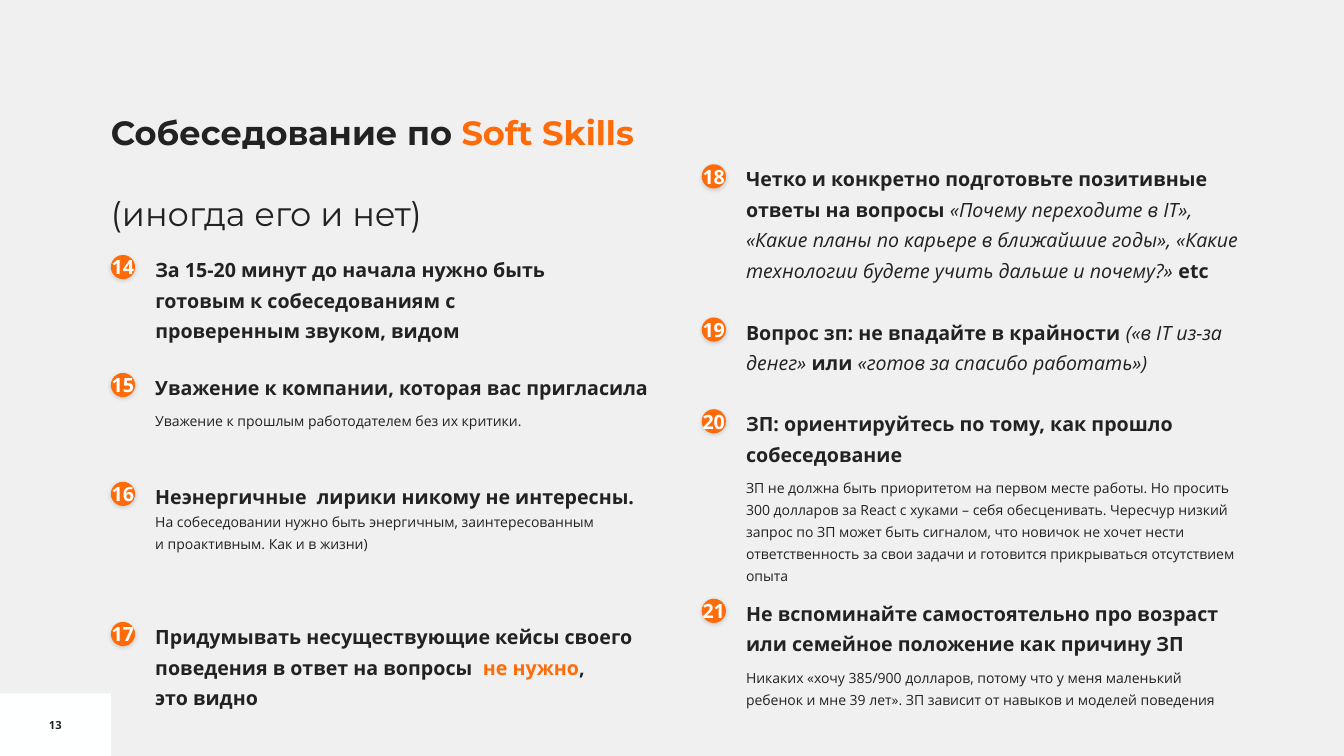
import pptx
import pptx.util
import pptx.dml.color
import pptx.enum.shapes
import pptx.enum.text
from dataclasses import dataclass
from lxml import etree
from pptx.util import Inches, Pt


@dataclass(frozen=True)
class Theme:
    back: str = "F0F0F0"
    white: str = "FEFFFF"
    ink: str = "222222"
    accent: str = "FF6B08"
    label: str = "FFFFFF"
    head: str = "Montserrat"
    body: str = "Open Sans"
    title: int = 24
    lead: int = 14
    note: int = 10
    page: int = 8


THEME = Theme()
ANCHOR = pptx.enum.text.MSO_ANCHOR
ALIGN = pptx.enum.text.PP_ALIGN
SHAPE = pptx.enum.shapes.MSO_SHAPE
DOT = 0.24
LEFT, RIGHT = 1.1, 6.96  # left edges of the two columns of dots


def rgb(code):
    return pptx.dml.color.RGBColor.from_string(code)


def add_run(para, text, size, color=THEME.ink, bold=True, italic=False,
            face=THEME.body):
    """Add one styled run per line, with line breaks between them."""
    for i, line in enumerate(text.split("\n")):
        if i:
            para.add_line_break()
        run = para.add_run()
        run.text = line
        font = run.font
        font.name, font.size = face, Pt(size)
        font.bold, font.italic = bold, italic
        font.color.rgb = rgb(color)


def lead(text, **style):
    return text, dict(size=THEME.lead, **style)


def aside(text):
    return lead(text, bold=False, italic=True)


def note(text):
    return text, dict(size=THEME.note, bold=False)


def set_frame(frame, top=0.0, base=0.0, wrap=True):
    frame.word_wrap = wrap
    frame.margin_left = frame.margin_right = 0
    frame.margin_top, frame.margin_bottom = Inches(top), Inches(base)


def add_text(slide, x, y, w, h, paras, top, base, gap, pitch=None):
    """Add a text box; gap is the space in points before later paragraphs."""
    box = slide.shapes.add_textbox(Inches(x), Inches(y), Inches(w), Inches(h))
    frame = box.text_frame
    set_frame(frame, top, base)
    for i, runs in enumerate(paras):
        para = frame.add_paragraph() if i else frame.paragraphs[0]
        if i:
            para.space_before = Pt(gap)
        if pitch:
            para.line_spacing = pitch
        for text, style in runs:
            add_run(para, text, **style)


def add_label(slide, kind, x, y, w, h, fill, text, **style):
    """Add a plain filled shape with centred text."""
    shape = slide.shapes.add_shape(
        kind, Inches(x), Inches(y), Inches(w), Inches(h))
    shape.shadow.inherit = False
    shape.fill.solid()
    shape.fill.fore_color.rgb = rgb(fill)
    shape.line.fill.background()
    frame = shape.text_frame
    set_frame(frame, wrap=False)
    frame.vertical_anchor = ANCHOR.MIDDLE
    para = frame.paragraphs[0]
    para.alignment = ALIGN.CENTER
    add_run(para, text, **style)
    return shape


def add_shade(shape):
    """Give the shape a soft shadow below it."""
    ns = "{http://schemas.openxmlformats.org/drawingml/2006/main}"
    effects = shape.element.spPr.find(ns + "effectLst")
    outer = etree.SubElement(
        effects, ns + "outerShdw", blurRad=str(Pt(3)), dist=str(Pt(1)),
        dir="5400000", algn="t", rotWithShape="0")
    color = etree.SubElement(outer, ns + "srgbClr", val="000000")
    etree.SubElement(color, ns + "alpha", val="15000")


def add_tip(slide, num, x, y, w, h, paras):
    dot = add_label(slide, SHAPE.OVAL, x, y + 0.08, DOT, DOT, THEME.accent,
                    str(num), size=THEME.lead, color=THEME.label)
    add_shade(dot)
    add_text(slide, x + 0.44, y, w, h, paras, 0.04, 0.04, gap=6, pitch=1.3)


TIPS = [
    (LEFT, 2.45, 4.41, 0.97, [[lead(
        "За 15-20 минут до начала нужно быть готовым к собеседованиям "
        "с проверенным звуком, видом")]]),
    (LEFT, 3.62, 5.07, 0.69, [
        [lead("Уважение к компании, которая вас пригласила")],
        [note("Уважение к прошлым работодателем без их критики.")]]),
    (LEFT, 4.7, 4.84, 0.82, [[
        lead("Неэнергичные  лирики никому не интересны. "),
        note("На собеседовании нужно быть энергичным, заинтересованным \n"
             "и проактивным. Как и в жизни)")]]),
    (LEFT, 6.09, 4.84, 0.97, [[
        lead("Придумывать несуществующие кейсы своего поведения "
             "в ответ на вопросы  "),
        lead("не нужно", color=THEME.accent),
        lead(", \nэто видно")]]),
    (RIGHT, 1.55, 4.94, 1.27, [[
        lead("Четко и конкретно подготовьте позитивные ответы на вопросы "),
        aside("«Почему переходите в IT», «Какие планы по карьере в ближайшие "
              "годы», «Какие технологии будете учить дальше и почему?» "),
        lead("etc")]]),
    (RIGHT, 3.07, 4.84, 0.66, [[
        lead("Вопрос зп: не впадайте в крайности "),
        aside("(«в IT из-за денег» "),
        lead("или"),
        aside(" «готов за спасибо работать»)")]]),
    (RIGHT, 3.98, 4.84, 1.63, [
        [lead("ЗП: ориентируйтесь по тому, как прошло собеседование")],
        [note("ЗП не должна быть приоритетом на первом месте работы. "
              "Но просить 300 долларов за React с хуками – себя обесценивать. "
              "Чересчур низкий запрос по ЗП может быть сигналом, что новичок "
              "не хочет нести ответственность за свои задачи и готовится "
              "прикрываться отсутствием опыта")]]),
    (RIGHT, 5.86, 4.84, 1.16, [
        [lead("Не вспоминайте самостоятельно про возраст или семейное "
              "положение как причину ЗП")],
        [note("Никаких «хочу 385/900 долларов, потому что у меня маленький "
              "ребенок и мне 39 лет». ЗП зависит от навыков и моделей "
              "поведения")]]),
]


def main():
    deck = pptx.Presentation()
    deck.slide_width, deck.slide_height = Inches(13.33), Inches(7.5)
    slide = deck.slides.add_slide(deck.slide_layouts[6])
    slide.background.fill.solid()
    slide.background.fill.fore_color.rgb = rgb(THEME.back)

    add_label(slide, SHAPE.RECTANGLE, 0, 6.88, 1.1, 0.62, THEME.white,
              "13", size=THEME.page)
    big = dict(size=THEME.title, face=THEME.head)
    add_text(slide, LEFT, 0.9, 5.28, 1.37, [
        [("Собеседование по ", big),
         ("Soft Skills", dict(big, color=THEME.accent))],
        [("(иногда его и нет)", dict(big, bold=False))],
    ], top=0.21, base=0, gap=29)
    for num, tip in enumerate(TIPS, 14):
        add_tip(slide, num, *tip)
    deck.save("out.pptx")


if __name__ == "__main__":
    main()
